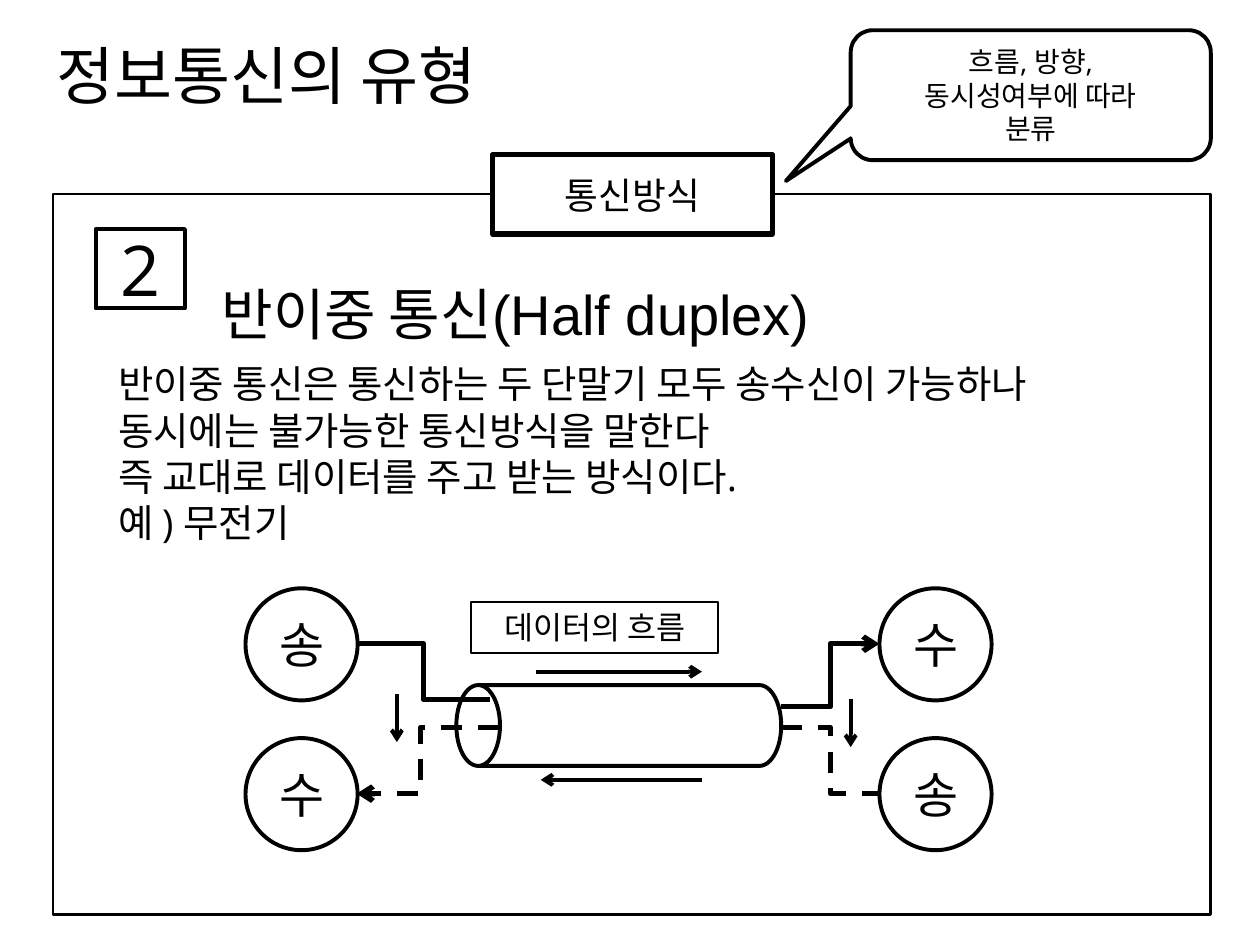
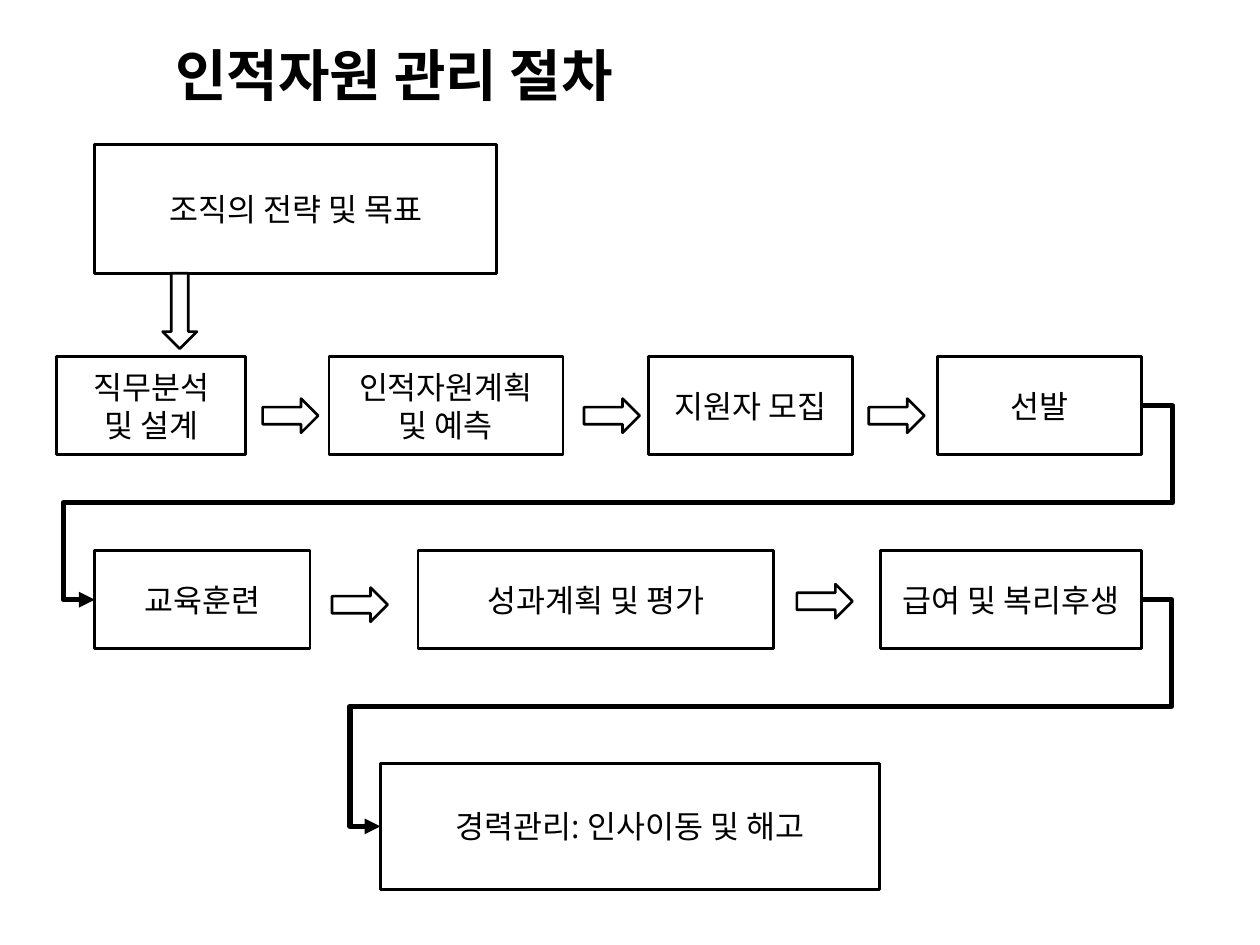
import pptx
import pptx.util
import pptx.dml.color
import pptx.enum.dml
import pptx.enum.shapes
import pptx.enum.text
import pptx.oxml
import pptx.oxml.ns

Cm = pptx.util.Cm
Pt = pptx.util.Pt
SHAPE = pptx.enum.shapes.MSO_SHAPE
CONNECTOR = pptx.enum.shapes.MSO_CONNECTOR
ALIGN = pptx.enum.text.PP_ALIGN
ANCHOR = pptx.enum.text.MSO_ANCHOR
qn = pptx.oxml.ns.qn

COLORS = {"ink": "000000", "paper": "FFFFFF"}
TEXT_FONT = "Open Sans"
KOREAN_FONT = "Noto Sans CJK KR"
FRAME_FORMAT = {"word_wrap": True, "auto_size": pptx.enum.text.MSO_AUTO_SIZE.NONE}
PARA_FORMAT = {"space_before": Pt(0), "space_after": Pt(0), "line_spacing": 1.0}


def rgb(name):
    return pptx.dml.color.RGBColor.from_string(COLORS[name])


def apply_format(target, values):
    for name, value in values.items():
        setattr(target, name, value)


def add_xml(parent, tag, **attributes):
    child = parent.makeelement(qn(tag), attributes)
    parent.append(child)
    return child


def write(box, text, size, align=ALIGN.CENTER, anchor=ANCHOR.MIDDLE, font=TEXT_FONT, bold=False):
    apply_format(box.text_frame, FRAME_FORMAT | {"vertical_anchor": anchor})
    para = box.text_frame.paragraphs[0]
    para.text = text
    apply_format(para, PARA_FORMAT | {"alignment": align})
    for span in para.runs:
        apply_format(span.font, {"name": font, "size": Pt(size), "bold": bold})
        span.font.color.rgb = rgb("ink")
        add_xml(span.font._element, "a:ea", typeface=KOREAN_FONT)
    return para


def place(box, left, top, width, height):
    apply_format(box, {"left": Cm(left), "top": Cm(top), "width": Cm(width), "height": Cm(height)})


def add_title(page, text, area, size, **style):
    place(page.shapes.title, *area)
    write(page.shapes.title, text, size, ALIGN.LEFT, ANCHOR.TOP, **style)


def add_body(page, text, area, size):
    body = page.placeholders[1]
    place(body, *area)
    para = write(body, text, size, ALIGN.LEFT, ANCHOR.TOP)
    properties = para._p.get_or_add_pPr()
    properties.set("marL", "0")
    properties.set("indent", "0")
    add_xml(properties, "a:buNone")
    body.element.getparent().append(body.element)


def add_outlined(page, kind, area, line=1.5, text="", size=18, filled=True, **style):
    box = page.shapes.add_shape(kind, *map(Cm, area))
    box.shadow.inherit = False
    if filled:
        box.fill.solid()
        box.fill.fore_color.rgb = rgb("paper")
    else:
        box.fill.background()
    box.line.color.rgb = rgb("ink")
    box.line.width = Pt(line)
    if text:
        write(box, text, size, **style)
    return box


def add_box(page, area, line=1.5, text="", size=18, **style):
    return add_outlined(page, SHAPE.RECTANGLE, area, line, text, size, **style)


def add_line(page, kind, ends, width, head=None, dashed=False):
    line = page.shapes.add_connector(kind, *map(Cm, ends))
    line.line.color.rgb = rgb("ink")
    line.line.width = Pt(width)
    if dashed:
        line.line.dash_style = pptx.enum.dml.MSO_LINE.DASH
    if head:
        add_xml(line.line._get_or_add_ln(), "a:tailEnd", type=head)
    add_xml(line.element.spPr, "a:effectLst")
    return line


def bend(line, preset, adjustments):
    geometry = line.element.spPr.find(qn("a:prstGeom"))
    geometry.set("prst", preset)
    values = geometry.find(qn("a:avLst"))
    if values is None:
        values = add_xml(geometry, "a:avLst")
    for name, share in adjustments.items():
        add_xml(values, "a:gd", name=name, fmla=f"val {round(share * 100000)}")


def add_block_arrow(page, left, top):
    arrow = add_outlined(page, SHAPE.DOWN_ARROW, (left, top, 0.69, 1.12))
    arrow.rotation = 270


def build_half_duplex(deck):
    page = deck.slides.add_slide(deck.slide_layouts[1])
    add_title(page, "정보통신의 유형", (0.89, 0.61, 10.69, 1.8), 36)
    add_box(page, (1.07, 3.91, 23.34, 14.53))
    add_box(page, (9.93, 3.12, 5.64, 1.6), 3, "통신방식", 21)
    add_box(page, (1.93, 4.62, 1.8, 1.6), 2.25, "2", 40)
    callout = add_outlined(page, SHAPE.ROUNDED_RECTANGULAR_CALLOUT, (17.15, 0.61, 7.26, 2.62),
                           2.25, "흐름, 방향,\n동시성여부에 따라\n분류", 16)
    for index, value in enumerate((-0.68, 0.66, 0.17)):
        callout.adjustments[index] = value
    heading = page.shapes.add_textbox(*map(Cm, (2.82, 5.51, 15.16, 1.63)))
    write(heading, "반이중 통신(Half duplex)", 32, anchor=ANCHOR.TOP, font="Arial")
    add_body(page, "반이중 통신은 통신하는 두 단말기 모두 송수신이 가능하나\n"
                   "동시에는 불가능한 통신방식을 말한다\n"
                   "즉 교대로 데이터를 주고 받는 방식이다.\n"
                   "예 ) 무전기", (2.13, 7.14, 22.45, 4.01), 22)

    for left, labels in ((4.95, "송수"), (17.73, "수송")):
        for top, label in zip((11.86, 14.88), labels):
            add_outlined(page, SHAPE.OVAL, (left, top, 2.26, 2.26), 2.25, label, 28)
    pipe = add_outlined(page, SHAPE.CAN, (11.66, 11.35, 1.63, 6.55), 2.25)
    pipe.rotation = 270
    pipe.adjustments[0] = 0.54

    add_line(page, CONNECTOR.ELBOW, (7.19, 12.98, 9.88, 14.1), 3)
    add_line(page, CONNECTOR.ELBOW, (15.75, 14.66, 17.73, 16), 3, dashed=True)
    add_line(page, CONNECTOR.ELBOW, (15.75, 14.25, 17.73, 12.98), 3, "arrow")
    reply = add_line(page, CONNECTOR.ELBOW, (10.06, 14.66, 7.19, 16), 3, "arrow", dashed=True)
    bend(reply, "bentConnector3", {"adj1": 0.55})
    for ends in ((10.8, 13.54, 14.15, 13.54), (14.15, 15.72, 10.9, 15.72),
                 (17.15, 14.1, 17.15, 15.06), (8, 14, 8, 14.96)):
        add_line(page, CONNECTOR.STRAIGHT, ends, 2.25, "arrow")
    add_box(page, (9.5, 12.14, 4.98, 1.02), 1, "데이터의 흐름", filled=False, anchor=ANCHOR.TOP)


def build_staff_process(deck):
    page = deck.slides.add_slide(deck.slide_layouts[5])
    add_title(page, "인적자원 관리 절차", (3.28, 0.69, 11.86, 1.63), 32, font=KOREAN_FONT, bold=True)
    add_box(page, (1.91, 2.92, 8.1, 2.59), text="조직의 전략 및 목표")
    rows = {
        7.19: ((1.14, 3.81, "직무분석\n및 설계"), (6.63, 4.72, "인적자원계획\n및 예측"),
               (13.08, 4.11, "지원자 모집"), (18.9, 4.11, "선발")),
        11.1: ((1.91, 4.34, "교육훈련"), (8.43, 7.16, "성과계획 및 평가"),
               (17.75, 5.26, "급여 및 복리후생")),
    }
    for top, steps in rows.items():
        for left, width, text in steps:
            add_box(page, (left, top, width, 1.98), text=text)
    add_box(page, (7.67, 15.39, 10.06, 2.54), text="경력관리: 인사이동 및 해고")

    add_outlined(page, SHAPE.DOWN_ARROW, (3.28, 5.51, 0.69, 1.52))
    for left, top in ((5.51, 7.82), (11.99, 7.82), (17.73, 7.82), (6.91, 11.63), (16.28, 11.56)):
        add_block_arrow(page, left, top)
    for ends, shares in (((23.01, 8.18, 1.91, 12.09), (-0.03, 0.5, 1.03)),
                         ((23.01, 12.09, 7.67, 16.66), (-0.04, 0.47, 1.04))):
        link = add_line(page, CONNECTOR.ELBOW, ends, 3, "triangle")
        bend(link, "bentConnector5", {f"adj{n}": share for n, share in enumerate(shares, 1)})


def main():
    deck = pptx.Presentation()
    apply_format(deck, {"slide_width": Cm(25.4), "slide_height": Cm(19.05)})
    build_half_duplex(deck)
    build_staff_process(deck)
    deck.save("out.pptx")


if __name__ == "__main__":
    main()
